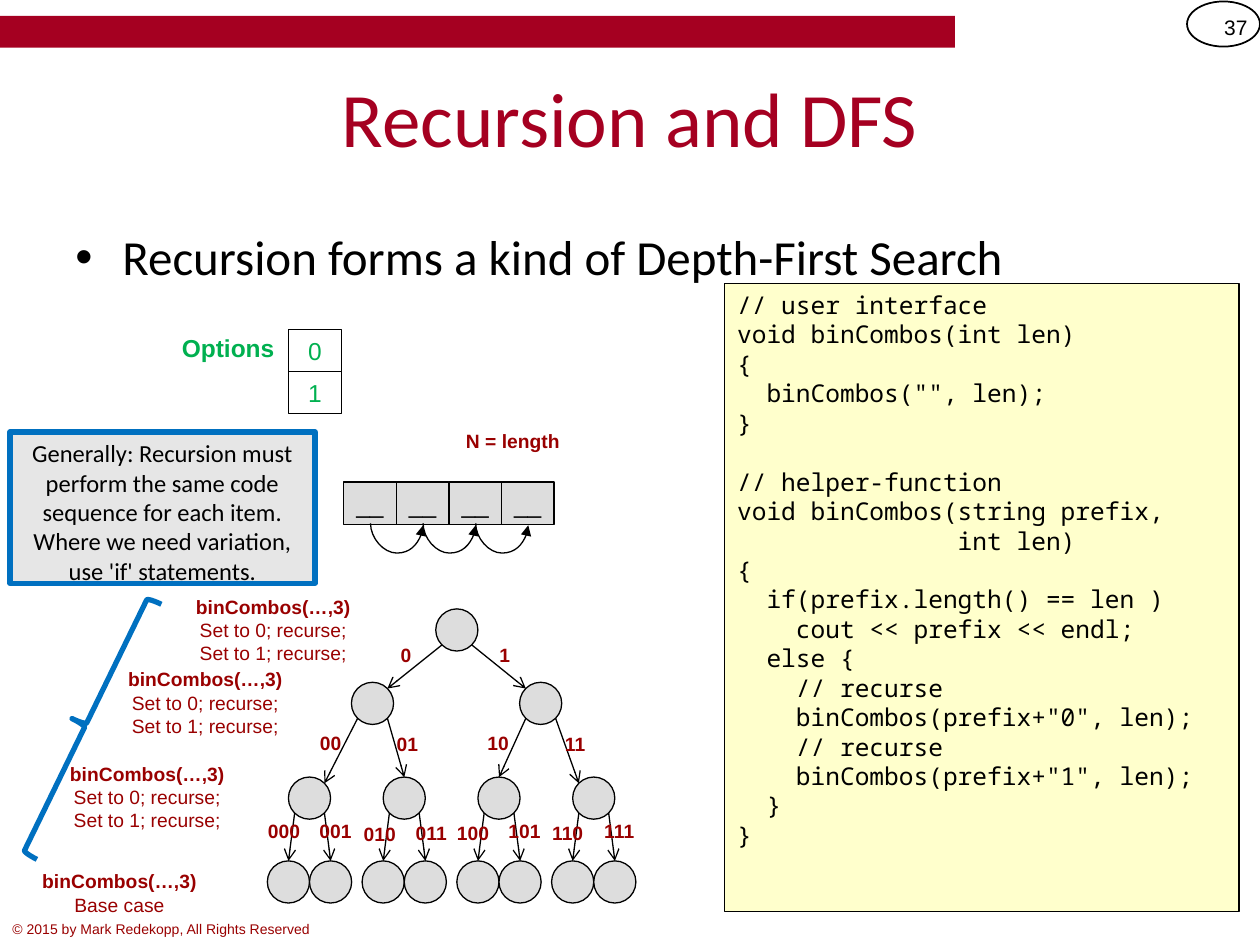
from lxml import etree
from pptx import Presentation
from pptx import util as u
from pptx.dml import color
from pptx.enum import shapes, text
from pptx.oxml import ns

Cm, Pt = u.Cm, u.Pt
COLORS = {"crimson": "A50021", "maroon": "990000", "black": "000000", "green": "00B050",
          "blue": "0070C0", "gray": "DDDDDD", "pale": "E6E6E6", "cream": "FFFFCC",
          "white": "FFFFFF"}
STYLES = {
    "title": {"size": Pt(44), "name": "Calibri", "color": "crimson"},
    "bullet": {"size": Pt(28), "name": "Calibri", "color": "black"},
    "callout": {"size": Pt(14), "name": "Calibri", "color": "black"},
    "code": {"size": Pt(14), "name": "Noto Sans Mono", "color": "black"},
    "slot": {"size": Pt(14), "name": "Arial", "color": "black"},
    "option": {"size": Pt(14), "name": "Arial", "color": "green"},
    "heading": {"size": Pt(14), "name": "Arial", "color": "green", "bold": True},
    "label": {"size": Pt(11), "name": "Arial", "color": "maroon", "bold": True},
    "step": {"size": Pt(11), "name": "Arial", "color": "maroon", "bold": False},
    "number": {"size": Pt(12), "name": "Arial", "color": "black"},
    "footer": {"size": Pt(8), "name": "Arial", "color": "maroon"},
}
LEFT, CENTER, RIGHT = text.PP_ALIGN.LEFT, text.PP_ALIGN.CENTER, text.PP_ALIGN.RIGHT
TOP, MIDDLE = text.MSO_ANCHOR.TOP, text.MSO_ANCHOR.MIDDLE
SHAPE, CONNECTOR = shapes.MSO_SHAPE, shapes.MSO_CONNECTOR
NODE = 0.85
SHOULDER = 0.3

INTERFACE_CODE = """// user interface
void binCombos(int len)
{
  binCombos("", len);
}"""
HELPER_CODE = """// helper-function
void binCombos(string prefix,
               int len)
{
  if(prefix.length() == len )
    cout << prefix << endl;
  else {
    // recurse
    binCombos(prefix+"0", len);
    // recurse
    binCombos(prefix+"1", len);
  }
}"""
BRANCH_LABELS = {
    "0": (7.87, 12.83), "1": (9.86, 12.83),
    "00": (6.35, 14.61), "01": (7.9, 14.63), "10": (9.73, 14.61), "11": (11.28, 14.63),
    "000": (5.41, 16.38), "001": (6.45, 16.38), "010": (7.34, 16.43), "011": (8.38, 16.41),
    "100": (9.22, 16.41), "101": (10.26, 16.38), "110": (11.13, 16.41), "111": (12.17, 16.38),
}


def rgb(name):
    return color.RGBColor.from_string(COLORS[name])


def write(frame, lines, align=LEFT, anchor=TOP, wrap=True):
    formats = {"word_wrap": wrap, "vertical_anchor": anchor, "auto_size": text.MSO_AUTO_SIZE.NONE}
    for key, value in formats.items():
        setattr(frame, key, value)
    for index, (words, style) in enumerate(lines):
        paragraph = frame.add_paragraph() if index else frame.paragraphs[0]
        paragraph.alignment = align
        run = paragraph.add_run()
        run.text = words
        for key, value in STYLES[style].items():
            if key == "color":
                run.font.color.rgb = rgb(value)
            else:
                setattr(run.font, key, value)


def add_text(slide, at, lines, **layout):
    frame = slide.shapes.add_textbox(*map(Cm, at)).text_frame
    write(frame, lines, **layout)
    return frame


def add_shape(slide, kind, at, fill=None, line="black", weight=0.75):
    shape = slide.shapes.add_shape(kind, *map(Cm, at))
    shape.shadow.inherit = False
    if fill:
        shape.fill.solid()
        shape.fill.fore_color.rgb = rgb(fill)
    else:
        shape.fill.background()
    if line:
        shape.line.color.rgb = rgb(line)
        shape.line.width = Pt(weight)
    else:
        shape.line.fill.background()
    return shape


def add_cell(slide, left, top, words, style, fill):
    frame = add_shape(slide, SHAPE.RECTANGLE, (left, top, 1.06, NODE), fill).text_frame
    frame.margin_left = frame.margin_right = 0
    write(frame, [(words, style)], CENTER, MIDDLE)


def add_arrow(slide, kind, ends, head):
    arrow = slide.shapes.add_connector(kind, *map(Cm, ends))
    arrow.line.color.rgb = rgb("black")
    arrow.line.width = Pt(0.75)
    properties = arrow._element.spPr
    etree.SubElement(properties.find(ns.qn("a:ln")), ns.qn("a:tailEnd"), type=head)
    etree.SubElement(properties, ns.qn("a:effectLst"))
    return properties


def add_hop(slide, x, y):
    properties = add_arrow(slide, CONNECTOR.CURVE, (x + 0.02, y - 0.53, x - 0.02, y + 0.53), "triangle")
    properties.find(ns.qn("a:xfrm")).set("rot", "16200000")
    geometry = properties.find(ns.qn("a:prstGeom"))
    geometry.set("prst", "curvedConnector3")
    guides = geometry.find(ns.qn("a:avLst"))
    etree.SubElement(guides, ns.qn("a:gd"), name="adj1", fmla="val 1500000")


def add_node(slide, x, y):
    add_shape(slide, SHAPE.OVAL, (x - NODE / 2, y - NODE / 2, NODE, NODE), "gray")


def add_branch(slide, parent, child, to_shoulder):
    side = 1 if child[0] > parent[0] else -1
    start = parent[0] + side * SHOULDER, parent[1] + SHOULDER
    if to_shoulder:
        end = child[0] - side * SHOULDER, child[1] - SHOULDER
    else:
        end = child[0], child[1] - NODE / 2
    add_arrow(slide, CONNECTOR.STRAIGHT, (*start, *end), "arrow")


def add_tree(slide):
    root = [(9.21, 12.7)]
    firsts = [(7.51, 14.18), (10.9, 14.18)]
    seconds = [(6.24 + 1.91 * i, 16.09) for i in range(4)]
    leaves = [(x + side * NODE / 2, 17.78) for x, _ in seconds for side in (-1, 1)]
    levels = [root, firsts, seconds, leaves]
    for level in levels:
        for node in level:
            add_node(slide, *node)
    for depth, (parents, children) in enumerate(zip(levels, levels[1:])):
        for i, child in enumerate(children):
            outer = i in (0, len(children) - 1)
            add_branch(slide, parents[i // 2], child, depth == 0 or depth == 1 and outer)
    for words, (left, top) in BRANCH_LABELS.items():
        add_text(slide, (left, top, 0.63, 0.74), [(words, "label")],
                 align=CENTER, anchor=MIDDLE, wrap=False)


def add_calls(slide):
    recursion = ["Set to 0; recurse;", "Set to 1; recurse;"]
    calls = [(3.07, 12.04, recursion), (1.7, 13.51, recursion),
             (0.53, 15.42, recursion), (-0.03, 17.35, ["Base case"])]
    for left, top, steps in calls:
        lines = [("binCombos(…,3)", "label")] + [(step, "step") for step in steps]
        add_text(slide, (left, top, 4.88, 1.3), lines, align=CENTER, anchor=MIDDLE, wrap=False)
    brace = add_shape(slide, SHAPE.LEFT_BRACE, (1.42, 11.76, 0.61, 5.72), None, "blue", 3)
    brace.rotation = 26


def add_header_and_footer(slide):
    add_shape(slide, SHAPE.RECTANGLE, (0, 0.32, 19.25, 0.64), "crimson", None)
    add_shape(slide, SHAPE.OVAL, (23.93, 0.03, 1.47, 0.91), None, "black", 1)
    add_text(slide, (23.93, 0.03, 1.47, 1.02), [("37", "number")], align=RIGHT, anchor=MIDDLE)
    add_text(slide, (0, 18.44, 13.54, 0.61),
             [("© 2015 by Mark Redekopp, All Rights Reserved", "footer")])


def add_title_and_bullet(slide):
    title = slide.shapes.title
    place = {"left": 1.27, "top": 0.76, "width": 22.86, "height": 3.18}
    for key, value in place.items():
        setattr(title, key, Cm(value))
    write(title.text_frame, [("Recursion and DFS", "title")], CENTER, MIDDLE)
    frame = add_text(slide, (1.27, 4.45, 22.86, 6.99),
                     [("Recursion forms a kind of Depth-First Search", "bullet")])
    properties = frame.paragraphs[0]._p.get_or_add_pPr()
    properties.set("marL", str(Cm(0.95)))
    properties.set("indent", str(-Cm(0.95)))
    etree.SubElement(properties, ns.qn("a:buFont"), typeface="Arial")
    etree.SubElement(properties, ns.qn("a:buChar"), char="•")


def add_code(slide):
    frame = add_shape(slide, SHAPE.RECTANGLE, (14.61, 5.72, 10.37, 12.65), "cream").text_frame
    interface, helper = INTERFACE_CODE.splitlines(), HELPER_CODE.splitlines()
    write(frame, [(line, "code") for line in interface + helper])
    frame.paragraphs[len(interface)].space_before = Pt(17)


def add_options_and_slots(slide):
    add_text(slide, (3.38, 6.58, 2.44, 0.86), [("Options", "heading")],
             align=CENTER, anchor=MIDDLE, wrap=False)
    for i in range(2):
        add_cell(slide, 5.82, 6.64 + NODE * i, str(i), "option", "white")
    add_text(slide, (9.12, 8.46, 2.44, 0.86), [("N = length", "label")],
             align=CENTER, anchor=MIDDLE, wrap=False)
    for i in range(4):
        add_cell(slide, 6.93 + 1.06 * i, 9.72, "__", "slot", "gray")
    for i in range(3):
        add_hop(slide, 8 + 1.06 * i, 10.57)


def add_callout(slide):
    callout = add_shape(slide, SHAPE.RECTANGLE, (0.2, 8.71, 6.15, 3.05), "pale", "blue", 3)
    advice = ("Generally: Recursion must perform the same code sequence for each item. "
              "Where we need variation, use 'if' statements.")
    write(callout.text_frame, [(advice, "callout")], CENTER)


def main():
    deck = Presentation()
    deck.slide_width, deck.slide_height = Cm(25.4), Cm(19.05)
    slide = deck.slides.add_slide(deck.slide_layouts[5])
    for add_part in (add_header_and_footer, add_title_and_bullet, add_tree, add_calls,
                     add_code, add_options_and_slots, add_callout):
        add_part(slide)
    deck.save("out.pptx")


if __name__ == "__main__":
    main()
